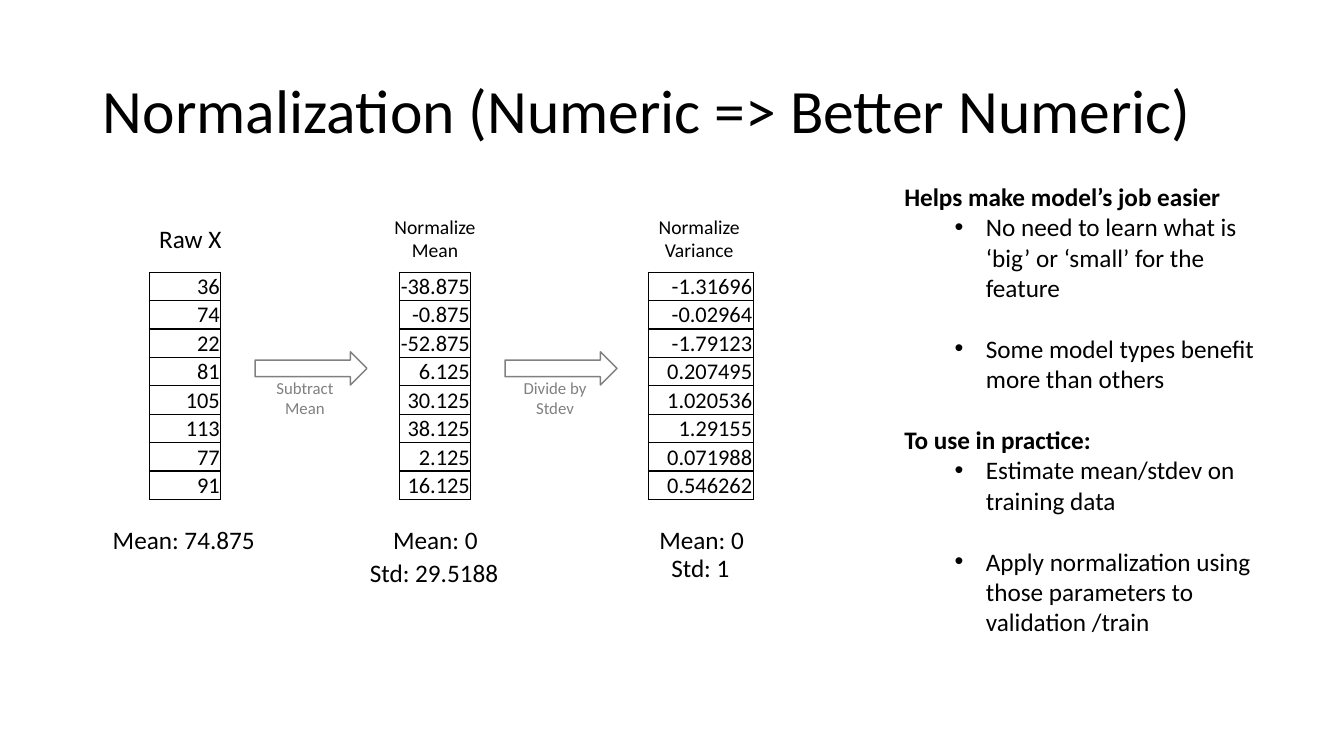
from lxml.etree import SubElement
from pptx import Presentation
from pptx.dml.color import RGBColor
from pptx.enum.shapes import MSO_SHAPE as Shape
from pptx.enum.text import MSO_ANCHOR as Anchor, MSO_AUTO_SIZE as AutoSize, PP_ALIGN as Align
from pptx.oxml.ns import qn
from pptx.util import Inches, Pt

COLORS = {"ink": "000000", "gray": "808080", "paper": "FFFFFF"}


def write(para, text, size, color="ink", bold=False, align=Align.LEFT):
    para.alignment = align
    span = para.add_run()
    span.text = text
    formats = {"name": "Calibri", "size": Pt(size), "bold": bold}
    for name, value in formats.items():
        setattr(span.font, name, value)
    span.font.color.rgb = RGBColor.from_string(COLORS[color])


def add_label(left, top, width, height, lines, size, color="ink", align=Align.LEFT):
    box = page.shapes.add_textbox(Inches(left), Inches(top), Inches(width), Inches(height))
    frame = box.text_frame
    frame.word_wrap = False
    for number, line in enumerate(lines):
        para = frame.add_paragraph() if number else frame.paragraphs[0]
        write(para, line, size, color, align=align)


deck = Presentation()
deck.slide_width, deck.slide_height = Inches(13.33), Inches(7.5)
page = deck.slides.add_slide(deck.slide_layouts[5])

# Title
title = page.shapes.title
title.left, title.top, title.width, title.height = map(Inches, (0.92, 0.4, 11.5, 1.45))
title.text_frame.auto_size = AutoSize.NONE
title.text_frame.vertical_anchor = Anchor.MIDDLE
title_para = title.text_frame.paragraphs[0]
title_para.line_spacing = 0.9
write(title_para, "Normalization (Numeric => Better Numeric)", 44)

# Value tables: left, width, values
tables = [
    (1.48, 0.71, ["36", "74", "22", "81", "105", "113", "77", "91"]),
    (3.96, 0.71, ["-38.875", "-0.875", "-52.875", "6.125",
                  "30.125", "38.125", "2.125", "16.125"]),
    (6.43, 1.04, ["-1.31696", "-0.02964", "-1.79123", "0.207495",
                  "1.020536", "1.29155", "0.071988", "0.546262"]),
]
cell_format = {"margin_left": Inches(0.01), "margin_right": Inches(0.01),
               "margin_top": Inches(0.01), "margin_bottom": 0,
               "vertical_anchor": Anchor.BOTTOM}
for left, width, values in tables:
    table = page.shapes.add_table(len(values), 1, Inches(left), Inches(2.7),
                                  Inches(width), Inches(2.18)).table
    table.first_row = table.horz_banding = False
    for row, value in enumerate(values):
        cell = table.cell(row, 0)
        for name, setting in cell_format.items():
            setattr(cell, name, setting)
        write(cell.text_frame.paragraphs[0], value, 16, align=Align.RIGHT)
        properties = cell._tc.get_or_add_tcPr()
        for side in ("a:lnL", "a:lnR", "a:lnT", "a:lnB"):
            border = SubElement(properties, qn(side), w=str(Pt(1)))
            fill = SubElement(border, qn("a:solidFill"))
            SubElement(fill, qn("a:srgbClr"), val=COLORS["ink"])
        cell.fill.background()

# Table headings and statistics
add_label(1.48, 2.17, 0.83, 0.4, ["Raw X"], 18)
for left, kind in ((3.81, "Mean"), (6.43, "Variance")):
    add_label(left, 2.08, 1.01, 0.57, ["Normalize", kind], 14, align=Align.CENTER)
statistics = [
    (1.02, 5.15, 1.63, "Mean: 74.875"),
    (3.8, 5.15, 1.05, "Mean: 0"),
    (3.57, 5.48, 1.49, "Std: 29.5188"),
    (6.44, 5.15, 1.05, "Mean: 0"),
    (6.56, 5.43, 0.79, "Std: 1"),
]
for left, top, width, text in statistics:
    add_label(left, top, width, 0.4, [text], 18)

# Step arrows with captions
steps = [
    (2.53, 2.64, 0.77, ["Subtract", "Mean"]),
    (5.01, 5.09, 0.83, ["Divide by", "Stdev"]),
]
for arrow_left, caption_left, caption_width, caption in steps:
    arrow = page.shapes.add_shape(Shape.RIGHT_ARROW, Inches(arrow_left), Inches(3.49),
                                  Inches(1.11), Inches(0.33))
    arrow.shadow.inherit = False
    arrow.fill.solid()
    arrow.fill.fore_color.rgb = RGBColor.from_string(COLORS["paper"])
    arrow.line.color.rgb = RGBColor.from_string(COLORS["gray"])
    arrow.line.width = Pt(1)
    add_label(caption_left, 3.7, caption_width, 0.5, caption, 12, "gray", Align.CENTER)

# Notes on the right: text, is a bullet, space before in points
notes = [
    ("Helps make model’s job easier", False, 0),
    ("No need to learn what is ‘big’ or ‘small’ for the feature", True, 0),
    ("Some model types benefit more than others", True, 22),
    ("To use in practice:", False, 22),
    ("Estimate mean/stdev on training data", True, 0),
    ("Apply normalization using those parameters to validation /train", True, 22),
]
notes_box = page.shapes.add_textbox(Inches(8.87), Inches(1.75), Inches(3.69), Inches(4.95))
notes_frame = notes_box.text_frame
notes_frame.word_wrap = True
for number, (text, bulleted, gap) in enumerate(notes):
    para = notes_frame.add_paragraph() if number else notes_frame.paragraphs[0]
    write(para, text, 18, bold=not bulleted)
    para.space_before = Pt(gap)
    if bulleted:
        para.level = 1
        properties = para._p.get_or_add_pPr()
        properties.set("marL", str(Inches(0.81)))
        properties.set("indent", str(Inches(-0.31)))
        SubElement(properties, qn("a:buFont"), typeface="Arial")
        SubElement(properties, qn("a:buChar"), char="•")

deck.save("out.pptx")
